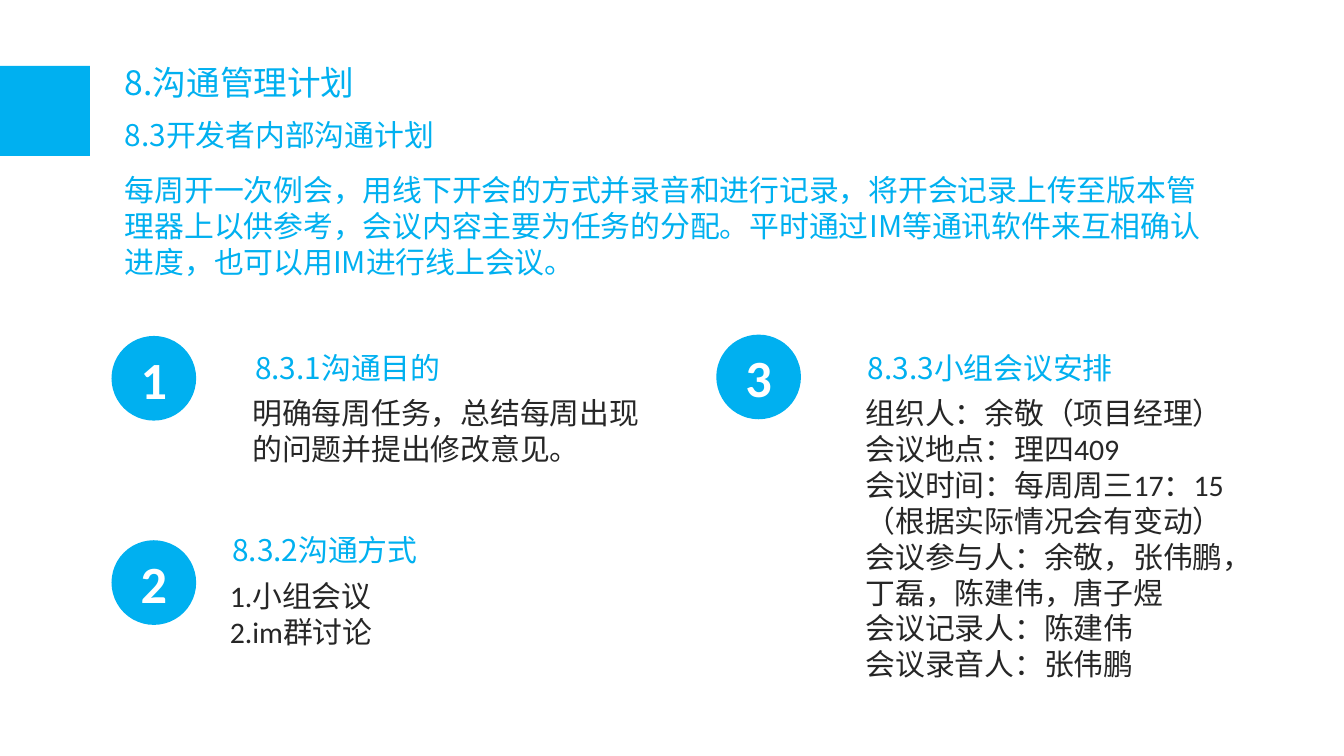
from dataclasses import dataclass

import pptx
import pptx.dml.color
import pptx.enum.shapes
import pptx.enum.text
import pptx.oxml
import pptx.oxml.ns
import pptx.util
from pptx.util import Inches

BLUE = pptx.dml.color.RGBColor(0x00, 0xB0, 0xF0)
DARK = pptx.dml.color.RGBColor(0x26, 0x26, 0x26)
WHITE = pptx.dml.color.RGBColor(0xFF, 0xFF, 0xFF)
SANS = "Noto Sans CJK SC"
LATIN = "Calibri"

SHAPE = pptx.enum.shapes.MSO_SHAPE
ALIGN = pptx.enum.text.PP_ALIGN
ANCHOR = pptx.enum.text.MSO_ANCHOR
FIT = pptx.enum.text.MSO_AUTO_SIZE
NS = pptx.oxml.ns.nsdecls("a")

DOT = 0.63
HEAD_GAP = 0.34


@dataclass
class Topic:
    mark: str
    dot: tuple[float, float]
    left: float
    top: float
    head: str
    lines: list[str]
    height: float
    slot: int | None = None  # body placeholder index


TOPICS = [
    Topic("1", (0.83, 2.5), 1.78, 2.55, "8.3.1沟通目的",
          ["明确每周任务，总结每周出现的问题并提出修改意见。"], 0.64),
    Topic("2", (0.83, 4.02), 1.61, 3.91, "8.3.2沟通方式",
          ["1.小组会议", "2.im群讨论"], 0.64, 1),
    Topic("3", (5.33, 2.49), 6.34, 2.55, "8.3.3小组会议安排",
          ["组织人：余敬（项目经理）",
           "会议地点：理四409",
           "会议时间：每周周三17：15（根据实际情况会有变动）",
           "会议参与人：余敬，张伟鹏，丁磊，陈建伟，唐子煜",
           "会议记录人：陈建伟",
           "会议录音人：张伟鹏"], 2.26, 2),
]


def write(shape, lines: list[str], *, size: float = 16, font: str = SANS,
          color=BLUE, bold: bool = False, align=ALIGN.LEFT,
          anchor=ANCHOR.TOP, wrap: bool = True) -> None:
    frame = shape.text_frame
    frame.text = "\n".join(lines)
    frame.word_wrap = wrap
    frame.auto_size = FIT.NONE
    frame.vertical_anchor = anchor
    for para in frame.paragraphs:
        props = para._p.get_or_add_pPr()
        props.set("marL", "0")
        props.set("indent", "0")
        props.append(pptx.oxml.parse_xml(f"<a:buNone {NS}/>"))
        para.alignment = align
        para.space_before = pptx.util.Pt(0)
        for run in para.runs:
            run.font.size = pptx.util.Pt(size)
            run.font.bold = bold
            run.font.color.rgb = color
            run.font.name = font
            run._r.get_or_add_rPr().append(
                pptx.oxml.parse_xml(f'<a:ea {NS} typeface="{SANS}"/>'))


def place(shape, left: float, top: float, width: float, height: float):
    shape.left, shape.top = Inches(left), Inches(top)
    shape.width, shape.height = Inches(width), Inches(height)
    return shape


def add_box(slide, left: float, top: float, width: float, height: float):
    return slide.shapes.add_textbox(
        Inches(left), Inches(top), Inches(width), Inches(height))


def add_solid(slide, kind, left: float, top: float, side: float):
    shape = slide.shapes.add_shape(
        kind, Inches(left), Inches(top), Inches(side), Inches(side))
    shape.shadow.inherit = False
    shape.fill.solid()
    shape.fill.fore_color.rgb = BLUE
    shape.line.fill.background()
    return shape


def add_topic(slide, topic: Topic) -> None:
    dot = add_solid(slide, SHAPE.OVAL, *topic.dot, DOT)
    write(dot, [topic.mark], size=28, font=LATIN, color=WHITE, bold=True,
          align=ALIGN.CENTER, anchor=ANCHOR.MIDDLE, wrap=False)

    head = add_box(slide, topic.left + 0.02, topic.top, 2.28, 0.37)
    write(head, [topic.head])

    area = (topic.left, topic.top + HEAD_GAP, 3.16, topic.height)
    if topic.slot is None:
        body = add_box(slide, *area)
    else:
        body = place(slide.placeholders[topic.slot], *area)
    write(body, topic.lines, font=LATIN, color=DARK)


def main() -> None:
    deck = pptx.Presentation()
    deck.slide_width = Inches(10)
    deck.slide_height = Inches(10 * 9 / 16)
    slide = deck.slides.add_slide(deck.slide_layouts.get_by_name("Two Content"))

    add_solid(slide, SHAPE.RECTANGLE, 0, 0.49, 0.67)
    title = place(slide.shapes.title, 0.83, 0.41, 2.13, 0.4)
    write(title, ["8.沟通管理计划"], size=18)
    write(add_box(slide, 0.83, 0.82, 2.98, 0.37), ["8.3开发者内部沟通计划"])
    write(add_box(slide, 0.83, 1.23, 8.21, 0.91), [
        "每周开一次例会，用线下开会的方式并录音和进行记录，"
        "将开会记录上传至版本管理器上以供参考，会议内容主要为任务的分配。"
        "平时通过IM等通讯软件来互相确认进度，也可以用IM进行线上会议。"])

    for topic in TOPICS:
        add_topic(slide, topic)
    deck.save("out.pptx")


if __name__ == "__main__":
    main()
